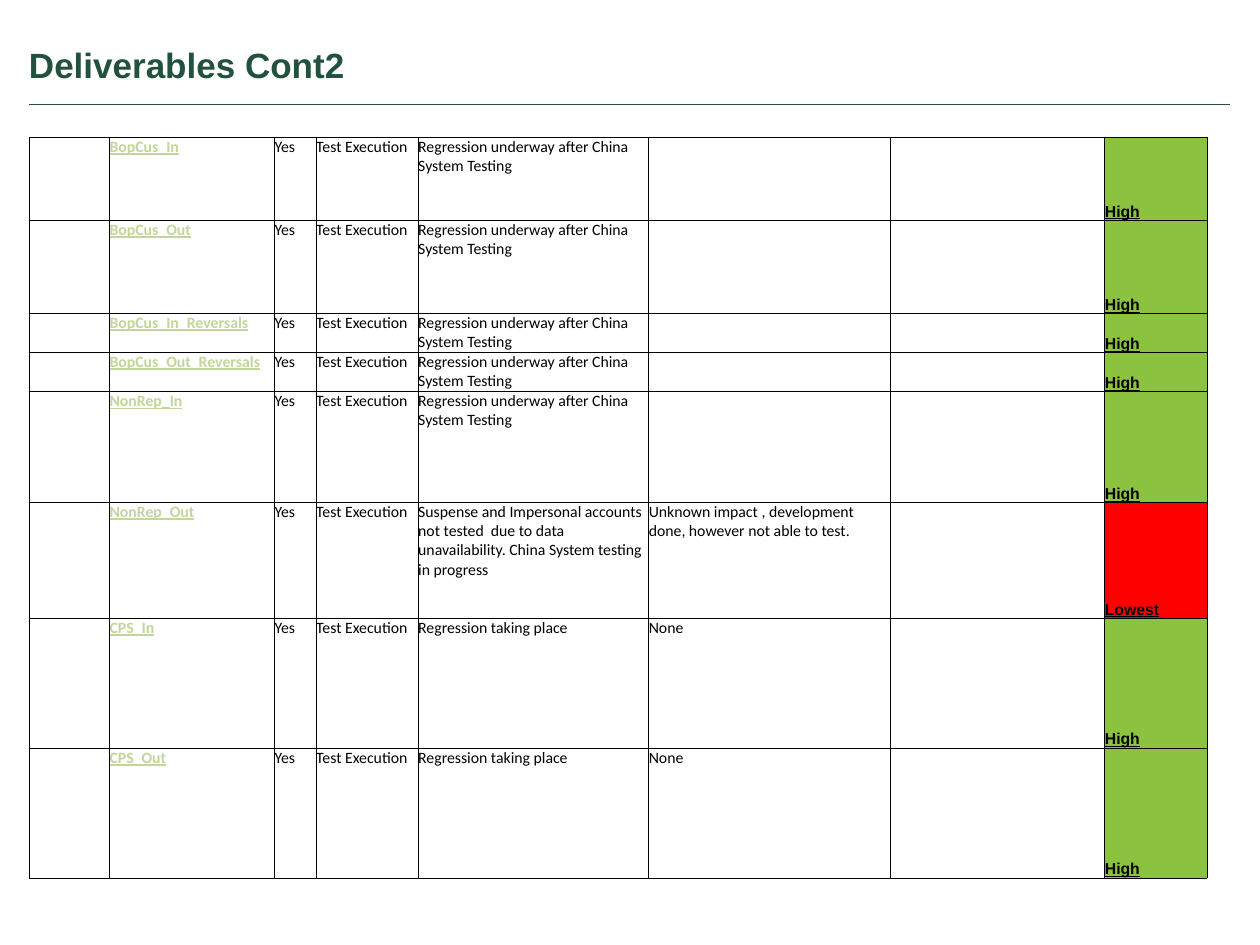
import pptx
import pptx.util
import pptx.dml.color
import pptx.enum.shapes
import pptx.enum.text
import pptx.oxml
import pptx.oxml.ns

Inches = pptx.util.Inches
Pt = pptx.util.Pt
Anchor = pptx.enum.text.MSO_ANCHOR

GREEN, RED, DARK, BLACK = "8BC340", "FF0000", "22513D", "000000"
HEAD = {"name": "Arial", "size": Pt(20), "bold": True}
BODY = {"name": "Calibri", "size": Pt(9), "bold": False}
LINK = {"name": "Calibri", "size": Pt(9), "bold": True, "underline": True}
RANK = {"name": "Arial", "size": Pt(9), "bold": True, "underline": True}

COLS = [0.64, 1.31, 0.33, 0.81, 1.83, 1.92, 1.7, 0.81]
REG = "Regression underway after China System Testing"
CPS = "Regression taking place"
LATE = ("Suspense and Impersonal accounts not tested  due to data "
        "unavailability. China System testing in progress")
RISK = "Unknown impact , development done, however not able to test."
# Height, name, status, impact, rank
ROWS = [
    (0.66, "BopCus_In", REG, "", "High"),
    (0.74, "BopCus_Out", REG, "", "High"),
    (0.31, "BopCus_In_Reversals", REG, "", "High"),
    (0.31, "BopCus_Out_Reversals", REG, "", "High"),
    (0.88, "NonRep_In", REG, "", "High"),
    (0.92, "NonRep_Out", LATE, RISK, "Lowest"),
    (1.03, "CPS_In", CPS, "None", "High"),
    (1.03, "CPS_Out", CPS, "None", "High"),
]


def color(code):
    return pptx.dml.color.RGBColor.from_string(code)


def write(frame, text, form, code):
    run = frame.paragraphs[0].add_run()
    run.text = text
    for key, value in form.items():
        setattr(run.font, key, value)
    run.font.color.rgb = color(code)


def inset(part, size):
    for side in ("left", "top", "right", "bottom"):
        setattr(part, "margin_" + side, Inches(size))


def border(cell):
    props = cell._tc.get_or_add_tcPr()
    for at, side in enumerate(("lnL", "lnR", "lnT", "lnB")):
        props.insert(at, pptx.oxml.parse_xml(
            f'<a:{side} {pptx.oxml.ns.nsdecls("a")} w="6350"><a:solidFill>'
            f'<a:srgbClr val="{BLACK}"/></a:solidFill></a:{side}>'))


def header(slide, left, top, width):
    # Title
    box = slide.shapes.add_textbox(
        Inches(left), Inches(top), Inches(4.59), Inches(0.35))
    frame = box.text_frame
    frame.word_wrap = True
    inset(frame, 0)
    frame.paragraphs[0].line_spacing = 0.75
    write(frame, "Deliverables Cont2", HEAD, DARK)
    # Rule below the title
    low = Inches(top + 0.41)
    rule = slide.shapes.add_connector(
        pptx.enum.shapes.MSO_CONNECTOR.STRAIGHT,
        Inches(left), low, Inches(left + width), low)
    rule.line.color.rgb = color(DARK)
    rule.line.width = Pt(0.5)
    rule._element.spPr.append(pptx.oxml.parse_xml(
        f'<a:effectLst {pptx.oxml.ns.nsdecls("a")}/>'))


def grid(slide, left, top):
    high = sum(row[0] for row in ROWS)
    table = slide.shapes.add_table(
        len(ROWS), len(COLS), Inches(left), Inches(top),
        Inches(sum(COLS)), Inches(high)).table
    table.first_row = table.horz_banding = False
    for col, width in zip(table.columns, COLS):
        col.width = Inches(width)
    for line, (size, name, state, risk, rank) in zip(table.rows, ROWS):
        line.height = Inches(size)
        texts = ["", name, "Yes", "Test Execution", state, risk, "", rank]
        for at, (cell, text) in enumerate(zip(line.cells, texts)):
            inset(cell, 0)
            cell.fill.background()
            form, code = BODY, BLACK
            if at == 1:
                form, code = LINK, "C2D699"
            elif at == len(COLS) - 1:
                form = RANK
                cell.vertical_anchor = Anchor.BOTTOM
                cell.fill.solid()
                cell.fill.fore_color.rgb = color(
                    RED if rank == "Lowest" else GREEN)
            if text:
                write(cell.text_frame, text, form, code)
            border(cell)


def main():
    deck = pptx.Presentation()
    deck.slide_width, deck.slide_height = Inches(10), Inches(7.5)
    slide = deck.slides.add_slide(deck.slide_layouts[6])
    header(slide, 0.23, 0.42, 9.53)
    grid(slide, 0.23, 1.09)
    deck.save("out.pptx")


if __name__ == "__main__":
    main()
